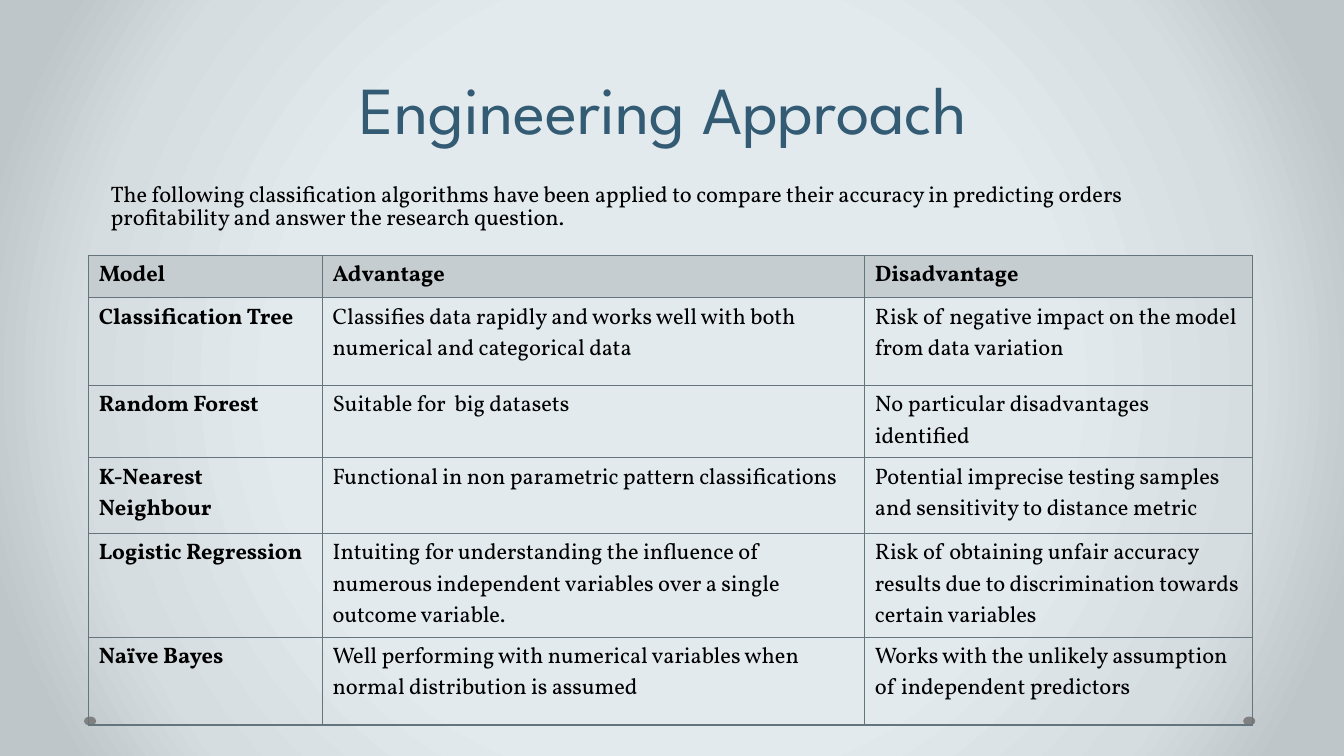
from dataclasses import dataclass

import pptx
import pptx.dml.color
import pptx.enum.shapes
import pptx.enum.text
import pptx.oxml
import pptx.oxml.ns
import pptx.util

MODELS = [
    ("Model", "Advantage", "Disadvantage"),
    ("Classification Tree",
     "Classifies data rapidly and works well with both numerical and categorical data",
     "Risk of negative impact on the model from data variation"),
    ("Random Forest",
     "Suitable for  big datasets",
     "No particular disadvantages identified"),
    ("K-Nearest Neighbour",
     "Functional in non parametric pattern classifications",
     "Potential imprecise testing samples and sensitivity to distance metric"),
    ("Logistic Regression",
     "Intuiting for understanding the influence of numerous independent variables "
     "over a single outcome variable.",
     "Risk of obtaining unfair accuracy results due to discrimination towards certain variables"),
    ("Naïve Bayes",
     "Well performing with numerical variables when normal distribution is assumed",
     "Works with the unlikely assumption of independent predictors"),
]
COLUMN_WIDTHS = (27.84, 64.56, 46.2)
ROW_HEIGHTS = (5.04, 10.44, 8.64, 9, 12.36, 10.44)


@dataclass(frozen=True)
class Theme:
    title_font: str = "League Spartan"
    body_font: str = "Vollkorn"
    title_size: int = 48
    body_size: int = 16
    title_color: str = "335B74"
    body_color: str = "000000"
    header_fill: str = "C6CDD1"
    border: str = "65757D"
    dot: str = "808080"
    backdrop: tuple = ((50, "E2EAEE"), (76, "D6DDE0"), (92, "BFC6CA"))


def rgb(color):
    return pptx.dml.color.RGBColor.from_string(color)


class SlideBuilder:
    """Places elements on a grid of 160 columns by 90 rows."""

    def __init__(self, deck, theme):
        self.theme = theme
        self.column = deck.slide_width / 160
        self.row = deck.slide_height / 90
        self.slide = deck.slides.add_slide(deck.slide_layouts[5])

    def box(self, left, top, width, height):
        return (round(left * self.column), round(top * self.row),
                round(width * self.column), round(height * self.row))

    def style(self, paragraph, font, size, color, bold=False):
        for run in paragraph.runs:
            run.font.name = font
            run.font.size = pptx.util.Pt(size)
            run.font.color.rgb = rgb(color)
            run.font.bold = bold

    def body(self, frame, text, bold=False):
        frame.text = text
        frame.word_wrap = True
        self.style(frame.paragraphs[0], self.theme.body_font,
                   self.theme.body_size, self.theme.body_color, bold)

    def background(self):
        self.slide.background.fill.gradient()
        old = self.slide.element.find(".//" + pptx.oxml.ns.qn("a:gradFill"))
        stops = "".join(
            f'<a:gs pos="{share * 1000}"><a:srgbClr val="{color}"/></a:gs>'
            for share, color in self.theme.backdrop)
        radial = pptx.oxml.parse_xml(
            f'<a:gradFill {pptx.oxml.ns.nsdecls("a")} rotWithShape="1">'
            f'<a:gsLst>{stops}</a:gsLst><a:path path="circle">'
            '<a:fillToRect l="50000" t="50000" r="50000" b="50000"/>'
            '</a:path></a:gradFill>')
        old.getparent().replace(old, radial)

    def title(self, text, *place):
        heading = self.slide.shapes.title
        heading.left, heading.top, heading.width, heading.height = self.box(*place)
        frame = heading.text_frame
        frame.text = text
        frame.word_wrap = True
        frame.auto_size = pptx.enum.text.MSO_AUTO_SIZE.NONE
        frame.vertical_anchor = pptx.enum.text.MSO_ANCHOR.MIDDLE
        line = frame.paragraphs[0]
        line.alignment = pptx.enum.text.PP_ALIGN.CENTER
        line.line_spacing = pptx.util.Pt(self.theme.title_size)
        self.style(line, self.theme.title_font, self.theme.title_size,
                   self.theme.title_color)

    def text(self, text, *place):
        frame = self.slide.shapes.add_textbox(*self.box(*place)).text_frame
        self.body(frame, text)
        frame.paragraphs[0].line_spacing = 0.84

    def dot(self, *place):
        dot = self.slide.shapes.add_shape(
            pptx.enum.shapes.MSO_SHAPE.OVAL, *self.box(*place))
        dot.shadow.inherit = False
        dot.fill.solid()
        dot.fill.fore_color.rgb = rgb(self.theme.dot)
        dot.line.fill.background()

    def borders(self, cell):
        properties = cell._tc.get_or_add_tcPr()
        for index, side in enumerate(("lnL", "lnR", "lnT", "lnB")):
            properties.insert(index, pptx.oxml.parse_xml(
                f'<a:{side} {pptx.oxml.ns.nsdecls("a")} w="12700"><a:solidFill>'
                f'<a:srgbClr val="{self.theme.border}"/></a:solidFill></a:{side}>'))

    def table(self, rows, left, top, widths, heights):
        table = self.slide.shapes.add_table(
            len(rows), len(widths),
            *self.box(left, top, sum(widths), sum(heights))).table
        table.horz_banding = False
        table.first_row = False
        for column, width in zip(table.columns, widths):
            column.width = round(width * self.column)
        for row, height in zip(table.rows, heights):
            row.height = round(height * self.row)
        for r, texts in enumerate(rows):
            for c, text in enumerate(texts):
                cell = table.cell(r, c)
                self.body(cell.text_frame, text, bold=r == 0 or c == 0)
                if r == 0:
                    cell.fill.solid()
                    cell.fill.fore_color.rgb = rgb(self.theme.header_fill)
                else:
                    cell.fill.background()
                self.borders(cell)


def main():
    deck = pptx.Presentation()
    deck.slide_width = pptx.util.Inches(13.33)
    deck.slide_height = pptx.util.Inches(7.5)
    page = SlideBuilder(deck, Theme())

    # Backdrop and corner dots
    page.background()
    for left in (10, 148):
        page.dot(left, 85.3, 1.44, 1.08)

    # Heading and introduction
    page.title("Engineering Approach ", 8, 7.3, 144, 12.7)
    page.text("The following classification algorithms have been applied to compare "
              "their accuracy in predicting orders profitability and answer the "
              "research question.", 12, 21.4, 137, 8.4)

    # Comparison of models
    page.table(MODELS, 10.56, 30.4, COLUMN_WIDTHS, ROW_HEIGHTS)

    deck.save("out.pptx")


if __name__ == "__main__":
    main()
